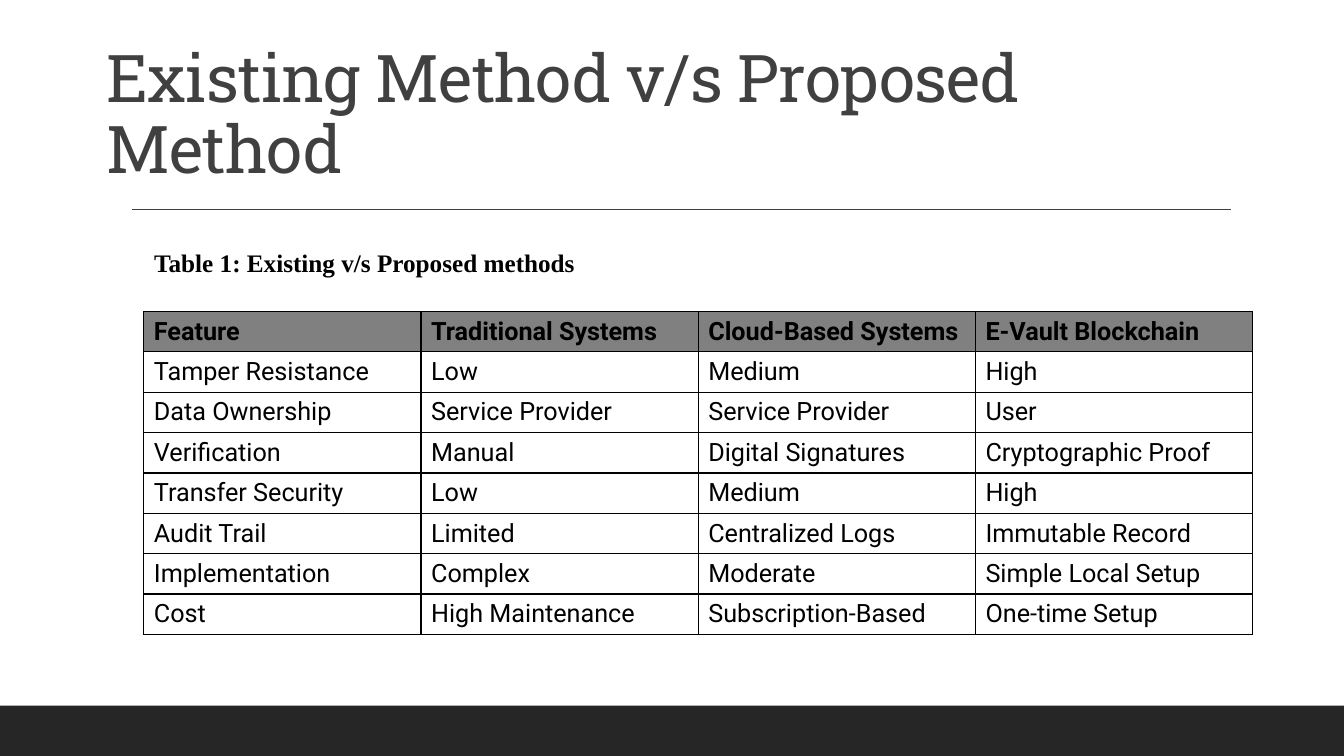
from lxml.etree import SubElement
from pptx import Presentation
from pptx.dml.color import RGBColor
from pptx.enum.shapes import MSO_CONNECTOR, MSO_SHAPE
from pptx.enum.text import MSO_ANCHOR, MSO_AUTO_SIZE, PP_ALIGN
from pptx.oxml.ns import qn
from pptx.util import Pt

COLORS = {"band": "262626", "title": "404040", "text": "000000",
          "border": "000000", "header": "808080"}
FORMATS = {
    "title": {"name": "Roboto Slab", "size": Pt(47), "bold": False},
    "caption": {"name": "Times New Roman", "size": Pt(18), "bold": True},
    "header": {"name": "Roboto", "size": Pt(18), "bold": True},
    "body": {"name": "Roboto", "size": Pt(18), "bold": False},
}
ROWS = [
    ("Feature", "Traditional Systems", "Cloud-Based Systems", "E-Vault Blockchain"),
    ("Tamper Resistance", "Low", "Medium", "High"),
    ("Data Ownership", "Service Provider", "Service Provider", "User"),
    ("Verification", "Manual", "Digital Signatures", "Cryptographic Proof"),
    ("Transfer Security", "Low", "Medium", "High"),
    ("Audit Trail", "Limited", "Centralized Logs", "Immutable Record"),
    ("Implementation", "Complex", "Moderate", "Simple Local Setup"),
    ("Cost", "High Maintenance", "Subscription-Based", "One-time Setup"),
]
COLUMN_WIDTH, ROW_HEIGHT = 198, 28.8


def color(name):
    return RGBColor.from_string(COLORS[name])


def write(paragraph, text, style, color_name="text"):
    run = paragraph.add_run()
    run.text = text
    for attribute, value in FORMATS[style].items():
        setattr(run.font, attribute, value)
    run.font.color.rgb = color(color_name)
    return run


presentation = Presentation()
presentation.slide_width, presentation.slide_height = Pt(960), Pt(540)
slide = presentation.slides.add_slide(presentation.slide_layouts[5])

# Bottom band
band = slide.shapes.add_shape(MSO_SHAPE.RECTANGLE, 0, Pt(504), Pt(960), Pt(36))
band.shadow.inherit = False
band.fill.solid()
band.fill.fore_color.rgb = color("band")
band.line.fill.background()

# Rule under the title
rule = slide.shapes.add_connector(
    MSO_CONNECTOR.STRAIGHT, Pt(94.5), Pt(149.5), Pt(879), Pt(149.5))
rule.line.color.rgb = color("title")
rule.line.width = Pt(1)
SubElement(rule._element.spPr, qn("a:effectLst"))

# Title
title = slide.shapes.title
title.left, title.top, title.width, title.height = Pt(69), Pt(22.5), Pt(809.5), Pt(115)
title.text_frame.auto_size = MSO_AUTO_SIZE.NONE
title.text_frame.vertical_anchor = MSO_ANCHOR.BOTTOM
paragraph = title.text_frame.paragraphs[0]
paragraph.alignment = PP_ALIGN.LEFT
paragraph.line_spacing = 0.9
run = write(paragraph, "Existing Method v/s Proposed Method", "title", "title")
run.font._element.set("spc", "-50")

# Table caption
caption = slide.shapes.add_textbox(Pt(103), Pt(173), Pt(480), Pt(29))
caption.text_frame.word_wrap = True
write(caption.text_frame.paragraphs[0], "Table 1: Existing v/s Proposed methods", "caption")

# Comparison table
table = slide.shapes.add_table(
    len(ROWS), len(ROWS[0]), Pt(102.75), Pt(222.5),
    Pt(COLUMN_WIDTH * len(ROWS[0])), Pt(ROW_HEIGHT * len(ROWS))).table
table.horz_banding = False
for column in table.columns:
    column.width = Pt(COLUMN_WIDTH)
for row_index, values in enumerate(ROWS):
    table.rows[row_index].height = Pt(ROW_HEIGHT)
    for column_index, text in enumerate(values):
        cell = table.cell(row_index, column_index)
        cell.vertical_anchor = MSO_ANCHOR.MIDDLE
        write(cell.text_frame.paragraphs[0], text, "body" if row_index else "header")
        # Borders come before the fill in the cell properties
        properties = cell._tc.get_or_add_tcPr()
        for side in ("a:lnL", "a:lnR", "a:lnT", "a:lnB"):
            border = SubElement(properties, qn(side), w=str(Pt(1)))
            fill = SubElement(border, qn("a:solidFill"))
            SubElement(fill, qn("a:srgbClr"), val=COLORS["border"])
        if row_index:
            cell.fill.background()
        else:
            cell.fill.solid()
            cell.fill.fore_color.rgb = color("header")

presentation.save("out.pptx")
